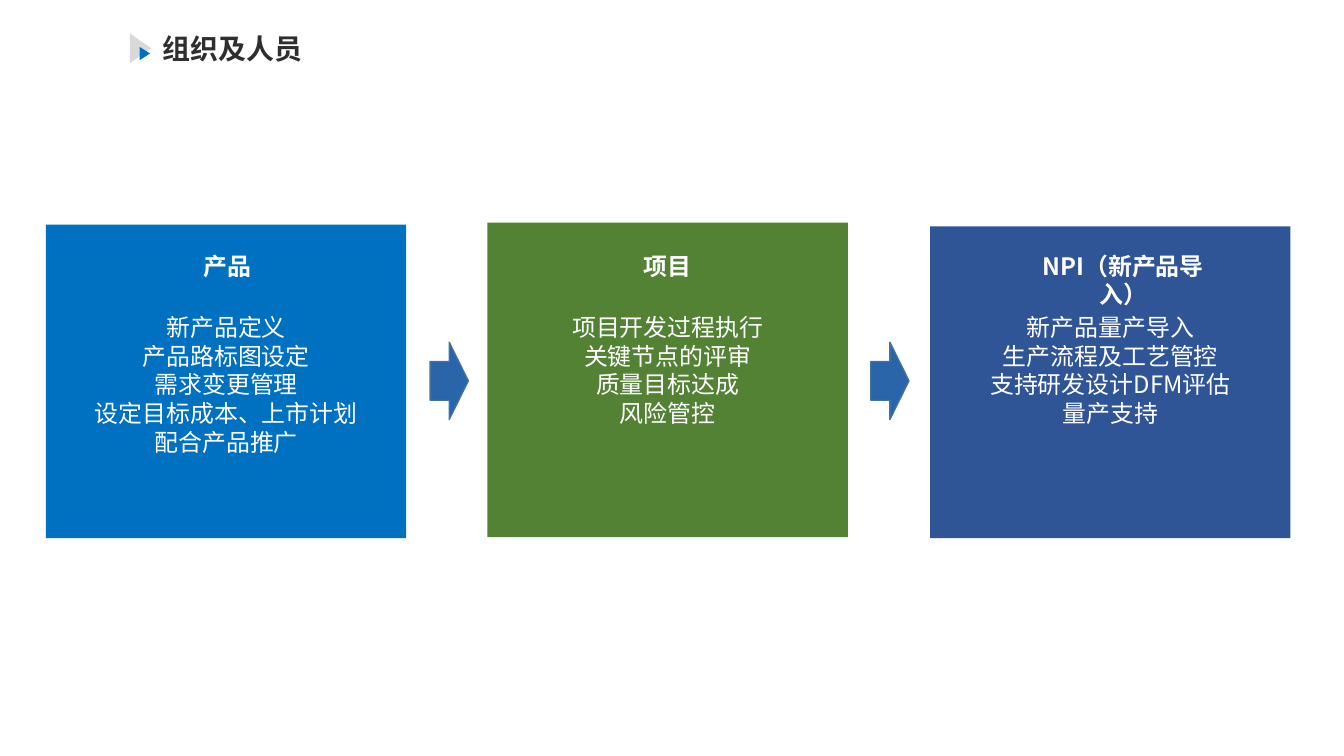
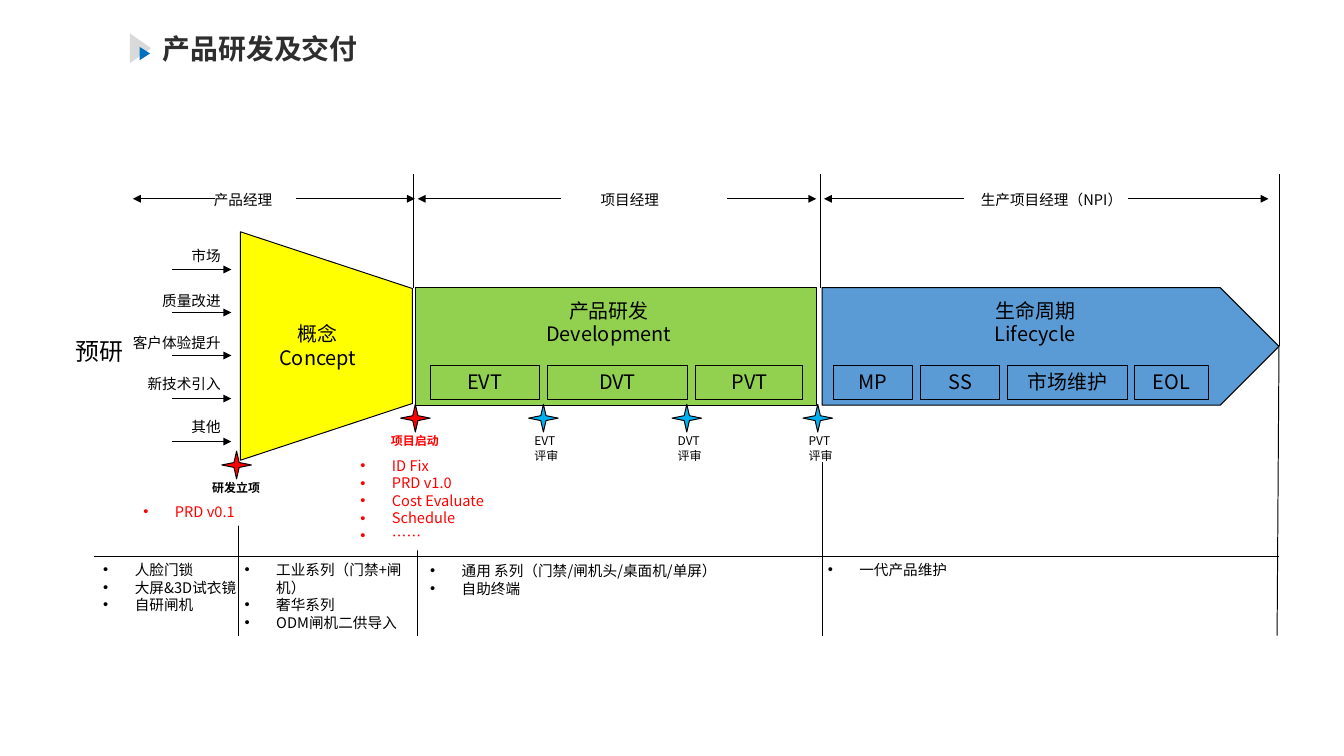
import pptx
import pptx.util
import pptx.dml.color
import pptx.enum.shapes
import pptx.enum.text
import pptx.oxml.ns
from lxml import etree

PX = 9144  # EMU in one px, 100 px to the inch
FONT = "Noto Sans CJK SC"
BLACK, WHITE, RED, SKY = "000000", "FFFFFF", "FF0000", "00B0F0"
BLUE, GREY, INK = "0070C0", "D9D9D9", "2E2E2E"
Kind = pptx.enum.shapes.MSO_SHAPE
Align = pptx.enum.text.PP_ALIGN
LEFT, CENTER, RIGHT = Align.LEFT, Align.CENTER, Align.RIGHT


def px(*lengths):
    return [pptx.util.Emu(length * PX) for length in lengths]


def color(code):
    return pptx.dml.color.RGBColor.from_string(code)


def add_xml(parent, tag, **attributes):
    return etree.SubElement(parent, pptx.oxml.ns.qn(tag), attributes)


class Board:
    """Holds the deck, the current page and the shared style."""

    def __init__(self, width, height):
        self.deck = pptx.Presentation()
        self.deck.slide_width, self.deck.slide_height = px(width, height)
        self.page = None

    def new_page(self, title):
        self.page = self.deck.slides.add_slide(self.deck.slide_layouts[5])
        holder = self.page.shapes.title
        holder.left, holder.top, holder.width, holder.height = px(159, 28, 600, 46)
        self.fill_text(holder, [title], 21, INK, LEFT, bold=True, font="Arial")
        for place, fill in (((136, 35, 22, 31), GREY), ((146, 49, 11, 14), BLUE)):
            self.shape(Kind.RIGHT_ARROW, place, fill, adjust=(0.5, 1))

    def fill_text(self, box, lines, size, ink=BLACK, align=LEFT, bold=False,
                  bullets=False, font=FONT):
        frame = box.text_frame
        frame.word_wrap = True
        frame.auto_size = pptx.enum.text.MSO_AUTO_SIZE.NONE
        frame.vertical_anchor = pptx.enum.text.MSO_ANCHOR.TOP
        frame.margin_left, frame.margin_right = px(11, 11)
        frame.margin_top, frame.margin_bottom = px(5, 5)
        frame.text = "\n".join(lines)
        for para in frame.paragraphs:
            para.alignment = align
            if bullets:
                props = para._p.get_or_add_pPr()
                props.set("marL", str(33 * PX))
                props.set("indent", str(-33 * PX))
                add_xml(props, "a:buFont", typeface="Arial")
                add_xml(props, "a:buChar", char="•")
            for span in para.runs:
                span.font.size = pptx.util.Pt(size)
                span.font.bold = bold
                span.font.name = font
                span.font.color.rgb = color(ink)
                add_xml(span._r.get_or_add_rPr(), "a:ea", typeface=FONT)

    def text(self, place, lines, size, **style):
        self.fill_text(self.page.shapes.add_textbox(*px(*place)), lines, size, **style)

    def shape(self, kind, place, fill=None, line=None, weight=0.75, adjust=()):
        shape = self.page.shapes.add_shape(kind, *px(*place))
        shape.shadow.inherit = False
        for index, value in enumerate(adjust):
            shape.adjustments[index] = value
        if fill:
            shape.fill.solid()
            shape.fill.fore_color.rgb = color(fill)
        else:
            shape.fill.background()
        if line:
            shape.line.color.rgb = color(line)
            shape.line.width = pptx.util.Pt(weight)
        else:
            shape.line.fill.background()
        return shape

    def line(self, x1, y1, x2, y2, arrow=False):
        straight = pptx.enum.shapes.MSO_CONNECTOR.STRAIGHT
        line = self.page.shapes.add_connector(straight, *px(x1, y1, x2, y2))
        line.line.color.rgb = color(BLACK)
        line.line.width = pptx.util.Pt(0.75)
        props = line.element.spPr
        if arrow:
            add_xml(props.find(pptx.oxml.ns.qn("a:ln")), "a:tailEnd", type="triangle")
        add_xml(props, "a:effectLst")

    def star(self, left, top, fill):
        self.shape(Kind.STAR_4_POINT, (left, top, 31, 29), fill, BLACK)


def draw_teams(board):
    board.new_page("组织及人员")
    teams = [
        ((48, 235, 377, 328), BLUE, (33, 409), "产品",
         ["新产品定义", "产品路标图设定", "需求变更管理", "设定目标成本、上市计划",
          "配合产品推广"]),
        ((510, 233, 377, 329), "548235", (494, 409), "项目",
         ["项目开发过程执行", "关键节点的评审", "质量目标达成", "风险管控"]),
        ((973, 237, 377, 326), "2F5597", (1060, 230), "NPI（新产品导入）",
         ["新产品量产导入", "生产流程及工艺管控", "支持研发设计DFM评估", "量产支持"]),
    ]
    for place, fill, (left, width), name, duties in teams:
        board.shape(Kind.RECTANGLE, place, fill)
        board.text((left, 258, width, 41), [name], 18, ink=WHITE, align=CENTER,
                   bold=True)
        board.text((place[0] - 16, 322, 409, 162), duties, 18, ink=WHITE, align=CENTER)
    for left in (450, 911):
        board.shape(Kind.RIGHT_ARROW, (left, 358, 40, 81), "2A65A9", "43739E", 1)


def draw_delivery(board):
    board.new_page("产品研发及交付")

    # Phases and their steps
    board.line(437, 483, 437, 665)
    funnel = board.shape(Kind.TRAPEZOID, (222, 272, 239, 180), "FFFF00", BLACK,
                         adjust=(0.33,))
    funnel.rotation = 90
    board.shape(Kind.RECTANGLE, (435, 301, 419, 123), "92D050", BLACK)
    board.shape(Kind.PENTAGON, (860, 301, 478, 123), "5B9BD5", BLACK)
    for place, names in (((265, 332, 135, 61), ["概念", "Concept"]),
                         ((523, 307, 228, 61), ["产品研发", "Development"]),
                         ((969, 307, 228, 61), ["生命周期", "Lifecycle"])):
        board.text(place, names, 15, align=CENTER)
    for left, width, step in ((450, 114, "EVT"), (573, 146, "DVT"), (728, 112, "PVT"),
                              (872, 83, "MP"), (963, 83, "SS"), (1054, 125, "市场维护"),
                              (1187, 77, "EOL")):
        box = board.shape(Kind.RECTANGLE, (left, 382, width, 36), line=BLACK)
        board.fill_text(box, [step], 15, align=CENTER)

    # Inputs to the concept phase
    board.text((68, 347, 89, 41), ["预研"], 18)
    inputs = (("市场", 253), ("质量改进", 301), ("客户体验提升", 344),
              ("新技术引入", 387), ("其他", 432))
    for row, (name, top) in enumerate(inputs):
        y = 282 + 45 * row
        board.line(180, y, 242, y, arrow=True)
        board.text((128, top, 114, 29), [name], 11, align=RIGHT)

    # Milestones
    for left, top, name, ink in ((419, 423, "项目启动", RED),
                                 (232, 472, "研发立项", BLACK)):
        board.star(left, top, RED)
        board.text((left - 21, top + 26, 78, 27), [name], 9, ink=ink, bold=True)
    for left, name in ((553, "EVT"), (703, "DVT"), (840, "PVT")):
        board.star(left, 423, SKY)
        board.text((left - 5, 449, 52, 41), [name, "评审"], 9)

    # Product lines under the phases
    for ends in ((250, 525, 250, 665), (1338, 362, 1336, 665),
                 (98, 582, 1338, 582), (860, 483, 860, 665)):
        board.line(*ends)
    for place, products in (
            ((97, 582, 168, 66), ["人脸门锁", "大屏&3D试衣镜", "自研闸机"]),
            ((245, 582, 208, 85), ["工业系列（门禁+闸机）", "奢华系列", "ODM闸机二供导入"]),
            ((439, 583, 333, 48), ["通用 系列（门禁/闸机头/桌面机/单屏）", "自助终端"]),
            ((855, 582, 400, 29), ["一代产品维护"])):
        board.text(place, products, 11, bullets=True)

    # Milestone outputs
    for place, outputs in (
            ((366, 473, 158, 103),
             ["ID Fix", "PRD v1.0", "Cost Evaluate", "Schedule", "……"]),
            ((139, 521, 158, 29), ["PRD v0.1"])):
        box = board.shape(Kind.RECTANGLE, place, WHITE)
        board.fill_text(box, outputs, 11, ink=RED, bullets=True)

    # Owners of the phases
    for x, bottom in ((433, 301), (858, 301), (1338, 362)):
        board.line(x, 182, x, bottom)
    for start, end in ((225, 139), (310, 434), (587, 437), (761, 854),
                       (1009, 862), (1180, 1327)):
        board.line(start, 208, end, 208, arrow=True)
    for left, width, owner, align in ((208, 88, "产品经理", RIGHT),
                                      (587, 144, "项目经理", CENTER),
                                      (1013, 174, "生产项目经理（NPI）", CENTER)):
        board.text((left, 195, width, 29), [owner], 11, align=align)


def main():
    board = Board(1406, 791)
    draw_teams(board)
    draw_delivery(board)
    board.deck.save("out.pptx")


if __name__ == "__main__":
    main()
